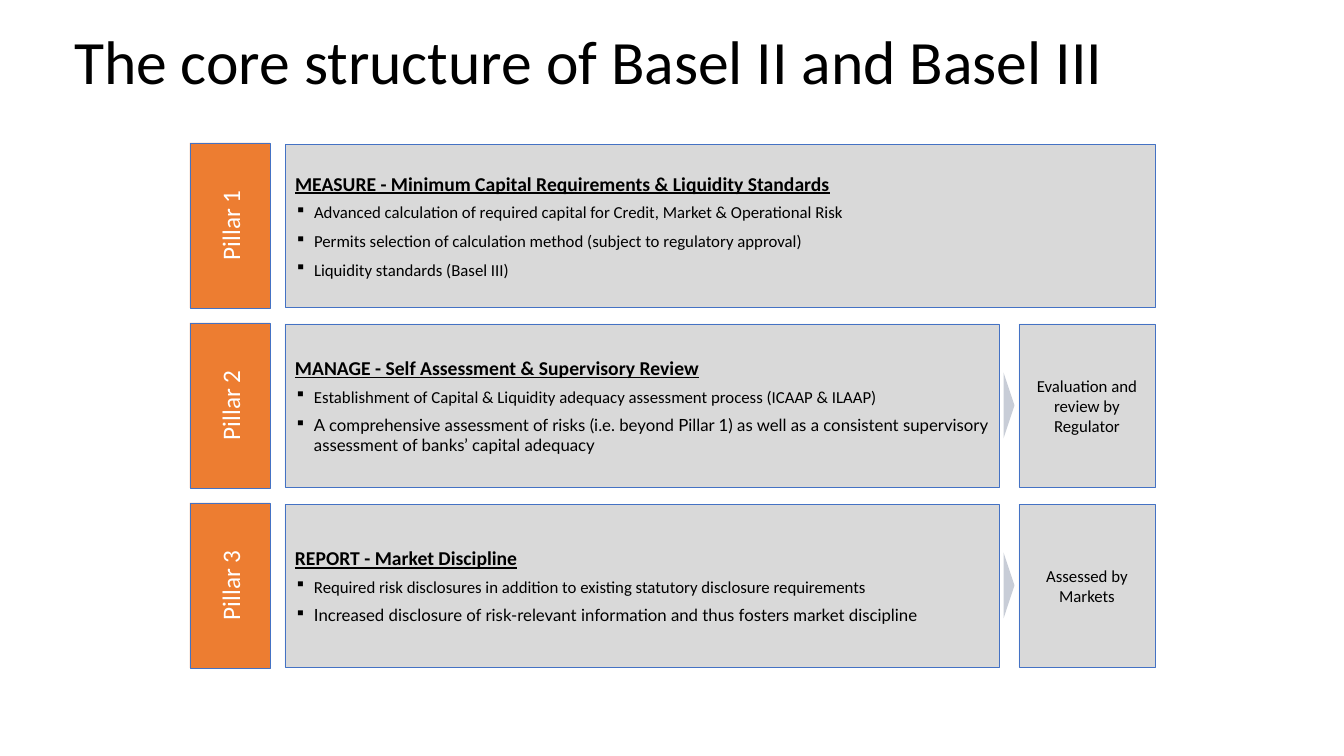
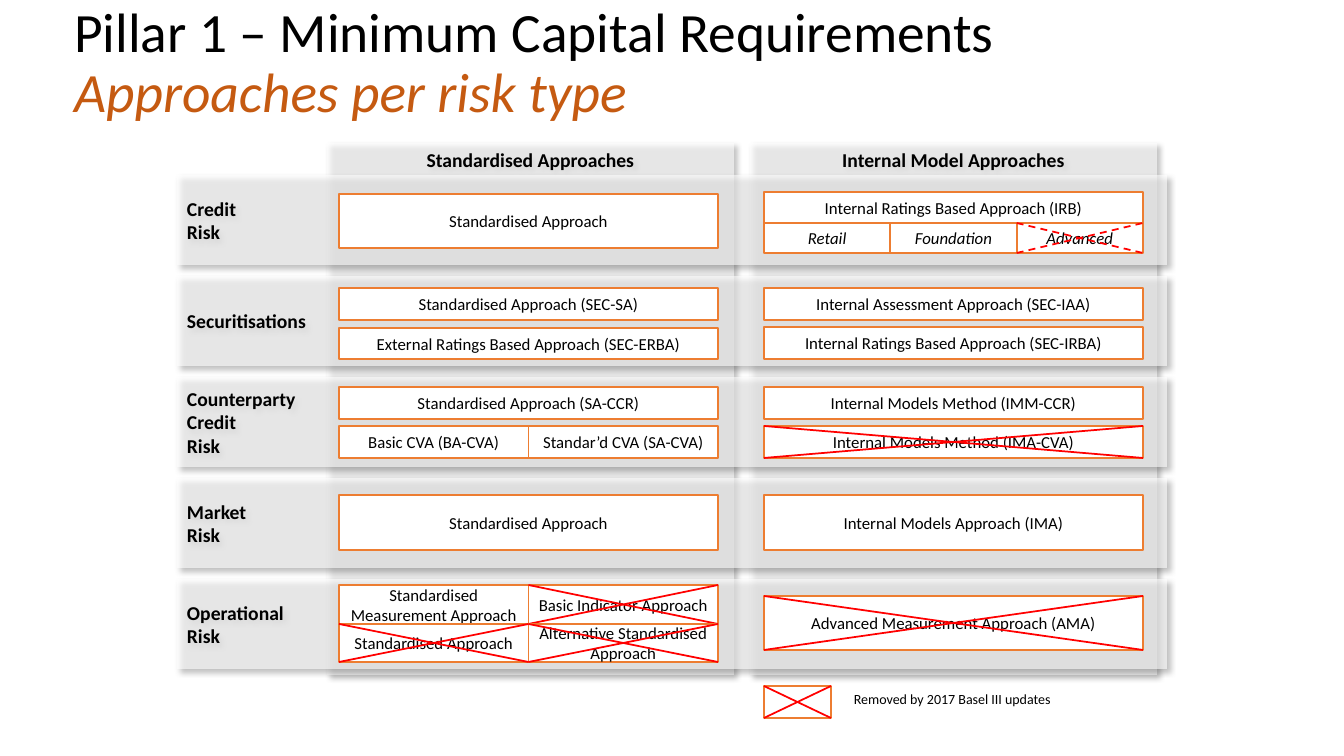
from collections import namedtuple

import pptx
import pptx.dml.color
import pptx.enum.dml
import pptx.enum.shapes
import pptx.enum.text
import pptx.oxml
import pptx.oxml.ns
import pptx.util

RGB = pptx.dml.color.RGBColor
BLACK = RGB(0x00, 0x00, 0x00)
WHITE = RGB(0xFF, 0xFF, 0xFF)
ORANGE = RGB(0xED, 0x7D, 0x31)
DARK_ORANGE = RGB(0xC5, 0x5A, 0x11)
BLUE = RGB(0x44, 0x72, 0xC4)
GREY = RGB(0xD9, 0xD9, 0xD9)
ARROW_GREY = RGB(0xC8, 0xCD, 0xD7)
RED = RGB(0xFF, 0x00, 0x00)

BODY_FONT = "Calibri"
ALT_FONT = "Lato"
SLIDE_WIDTH, SLIDE_HEIGHT = 1344, 756
EMU_PER_PX = 6858000 / SLIDE_HEIGHT

SHAPE = pptx.enum.shapes.MSO_SHAPE
ALIGN = pptx.enum.text.PP_ALIGN
ANCHOR = pptx.enum.text.MSO_ANCHOR
DASH = pptx.enum.dml.MSO_LINE
NSDECLS = pptx.oxml.ns.nsdecls("a")

Box = namedtuple("Box", "left top width height")
# removed is None, or the dash style of the red cross
Approach = namedtuple("Approach", "label removed italic", defaults=(None, False))
# rows hold (offset from band top, height, approaches side by side)
RiskBand = namedtuple("RiskBand", "label standardised internal")
Pillar = namedtuple("Pillar", "name heading points review")

TITLE_BOX = Box(64, 17, 1053, 95)

PILLARS = [
    Pillar("Pillar 1", "MEASURE - Minimum Capital Requirements & Liquidity Standards", [
        ("Advanced calculation of required capital for Credit, Market & Operational Risk", BODY_FONT),
        ("Permits selection of calculation method (subject to regulatory approval)", BODY_FONT),
        ("Liquidity standards (Basel III)", BODY_FONT),
    ], None),
    Pillar("Pillar 2", "MANAGE - Self Assessment & Supervisory Review", [
        ("Establishment of Capital & Liquidity adequacy assessment process (ICAAP & ILAAP)", BODY_FONT),
        ("A comprehensive assessment of risks (i.e. beyond Pillar 1) as well as a consistent "
         "supervisory assessment of banks’ capital adequacy", ALT_FONT),
    ], "Evaluation and review by Regulator"),
    Pillar("Pillar 3", "REPORT - Market Discipline", [
        ("Required risk disclosures in addition to existing statutory disclosure requirements", BODY_FONT),
        ("Increased disclosure of risk-relevant information and thus fosters market discipline", ALT_FONT),
    ], "Assessed by Markets"),
]

RISK_BANDS = [
    RiskBand("Credit\nRisk",
             [(19, 54, [Approach("Standardised Approach")])],
             [(17, 31, [Approach("Internal Ratings Based Approach (IRB)")]),
              (48, 30, [Approach("Retail", italic=True),
                        Approach("Foundation", italic=True),
                        Approach("Advanced", DASH.DASH, True)])]),
    RiskBand("Securitisations",
             [(12, 32, [Approach("Standardised Approach (SEC-SA)")]),
              (52, 31, [Approach("External Ratings Based Approach (SEC-ERBA)")])],
             [(12, 32, [Approach("Internal Assessment Approach (SEC-IAA)")]),
              (51, 32, [Approach("Internal Ratings Based Approach (SEC-IRBA)")])]),
    RiskBand("Counterparty\nCredit\nRisk",
             [(10, 32, [Approach("Standardised Approach (SA-CCR)")]),
              (49, 32, [Approach("Basic CVA (BA-CVA)"),
                        Approach("Standar’d CVA (SA-CVA)")])],
             [(10, 32, [Approach("Internal Models Method (IMM-CCR)")]),
              (49, 32, [Approach("Internal Models Method (IMA-CVA)", DASH.SOLID)])]),
    RiskBand("Market\nRisk",
             [(17, 55, [Approach("Standardised Approach")])],
             [(17, 55, [Approach("Internal Models Approach (IMA)")])]),
    RiskBand("Operational\nRisk",
             [(6, 39, [Approach("Standardised Measurement Approach"),
                       Approach("Basic Indicator Approach", DASH.SOLID)]),
              (45, 38, [Approach("Standardised Approach", DASH.SOLID),
                        Approach("Alternative Standardised Approach", DASH.SOLID)])],
             [(17, 54, [Approach("Advanced Measurement Approach (AMA)", DASH.SOLID)])]),
]


def px(length):
    return pptx.util.Emu(round(length * EMU_PER_PX))


def format_runs(paragraph, size, color=BLACK, font=BODY_FONT, bold=False, italic=False, underline=False):
    for run in paragraph.runs:
        run.font.name = font
        run.font.size = pptx.util.Pt(size)
        run.font.bold = bold
        run.font.italic = italic
        run.font.underline = underline
        run.font.color.rgb = color


def fill_text(shape, text, size, align=ALIGN.CENTER, anchor=ANCHOR.MIDDLE, inset=10, **style):
    frame = shape.text_frame
    frame.text = text
    frame.word_wrap = True
    frame.vertical_anchor = anchor
    frame.margin_left = frame.margin_right = px(inset)
    frame.margin_top = frame.margin_bottom = px(5)
    for paragraph in frame.paragraphs:
        paragraph.alignment = align
        format_runs(paragraph, size, **style)


def add_box(slide, box, fill, line=None, line_width=0.5, preset=SHAPE.RECTANGLE):
    shape = slide.shapes.add_shape(preset, *map(px, box))
    shape.shadow.inherit = False
    shape.fill.solid()
    shape.fill.fore_color.rgb = fill
    if line is None:
        shape.line.fill.background()
    else:
        shape.line.color.rgb = line
        shape.line.width = pptx.util.Pt(line_width)
    return shape


def add_title_slide(deck, title, subtitle=None, size=44):
    slide = deck.slides.add_slide(deck.slide_layouts[5])
    heading = slide.shapes.title
    heading.left, heading.top, heading.width, heading.height = map(px, TITLE_BOX)
    fill_text(heading, f"{title}\v{subtitle}" if subtitle else title, size, align=ALIGN.LEFT)
    heading.text_frame.auto_size = pptx.enum.text.MSO_AUTO_SIZE.NONE
    paragraph = heading.text_frame.paragraphs[0]
    paragraph.line_spacing = 0.9
    if subtitle:
        paragraph.runs[-1].font.italic = True
        paragraph.runs[-1].font.color.rgb = DARK_ORANGE
    return slide


# Slide 1: pillars
def add_bullet(paragraph):
    properties = paragraph._p.get_or_add_pPr()
    properties.set("marL", str(px(19)))
    properties.set("indent", str(px(-19)))
    for element in ('buSzPct {} val="90000"', 'buChar {} char="▪"'):
        properties.append(pptx.oxml.parse_xml(f"<a:{element.format(NSDECLS)}/>"))


def add_pillar(slide, box, pillar):
    # Pillar name, reading upwards
    name = add_box(slide, box._replace(width=80), ORANGE, BLUE)
    fill_text(name, pillar.name, 18, color=WHITE)
    name.text_frame._txBody.bodyPr.set("vert", "vert270")

    # Heading and points
    panel_box = Box(box.left + 95, box.top + 1, box.width - 95, box.height - 2)
    review_box = panel_box._replace(left=box.left + box.width - 136, width=136)
    if pillar.review:
        panel_box = panel_box._replace(width=panel_box.width - 156)
    panel = add_box(slide, panel_box, GREY, BLUE)
    fill_text(panel, pillar.heading, 14, align=ALIGN.JUSTIFY, bold=True, underline=True)
    panel.text_frame.paragraphs[0].space_after = pptx.util.Pt(5)
    for text, font in pillar.points:
        point = panel.text_frame.add_paragraph()
        point.text = text
        point.alignment = ALIGN.LEFT
        point.space_after = pptx.util.Pt(6)
        add_bullet(point)
        format_runs(point, 12, font=font)

    # Reviewer and the arrowhead leading to it
    if pillar.review:
        review = add_box(slide, review_box, GREY, BLUE)
        fill_text(review, pillar.review, 12)
        length, depth = 66, 11
        center_x = review_box.left - 10
        center_y = box.top + box.height / 2
        arrow_box = Box(center_x - length / 2, center_y - depth / 2, length, depth)
        arrow = add_box(slide, arrow_box, ARROW_GREY, preset=SHAPE.ISOSCELES_TRIANGLE)
        arrow.rotation = 90


def build_pillars_slide(deck):
    slide = add_title_slide(deck, "The core structure of Basel II and Basel III")
    for index, pillar in enumerate(PILLARS):
        add_pillar(slide, Box(190, 143 + 180 * index, 965, 165), pillar)


# Slide 2: approaches per risk type
def add_glass_band(slide, box, label, align, anchor):
    band = add_box(slide, box, WHITE)
    color = band._element.spPr.find(".//" + pptx.oxml.ns.qn("a:srgbClr"))
    color.append(pptx.oxml.parse_xml(f'<a:alpha {NSDECLS} val="60000"/>'))
    effects = band._element.spPr.find(pptx.oxml.ns.qn("a:effectLst"))
    effects.append(pptx.oxml.parse_xml(
        f'<a:outerShdw {NSDECLS} blurRad="50800" dist="38100" dir="2700000" algn="tl" rotWithShape="0">'
        '<a:srgbClr val="000000"><a:alpha val="40000"/></a:srgbClr></a:outerShdw>'))
    fill_text(band, label, 14, align=align, anchor=anchor, bold=True)


def add_cross(slide, box, dash):
    right, bottom = box.left + box.width, box.top + box.height
    for start_y, end_y in ((box.top, bottom), (bottom, box.top)):
        stroke = slide.shapes.add_connector(
            pptx.enum.shapes.MSO_CONNECTOR.STRAIGHT, px(box.left), px(start_y), px(right), px(end_y))
        stroke.line.color.rgb = RED
        stroke.line.width = pptx.util.Pt(1.25)
        stroke.line.dash_style = dash
        stroke._element.spPr.append(pptx.oxml.parse_xml(f"<a:effectLst {NSDECLS}/>"))


def add_approach_row(slide, box, approaches):
    width = box.width / len(approaches)
    cells = [box._replace(left=box.left + width * index, width=width) for index in range(len(approaches))]
    for cell, approach in zip(cells, approaches):
        shape = add_box(slide, cell, WHITE, ORANGE, 1.25)
        fill_text(shape, approach.label, 12, inset=4, italic=approach.italic)
    for cell, approach in zip(cells, approaches):
        if approach.removed is not None:
            add_cross(slide, cell, approach.removed)


def add_legend(slide, box):
    sample = box._replace(width=67)
    add_box(slide, sample, WHITE, ORANGE, 1.25)
    add_cross(slide, sample, DASH.SOLID)
    caption = slide.shapes.add_textbox(*map(px, box._replace(left=box.left + 80, width=box.width - 80)))
    fill_text(caption, "Removed by 2017 Basel III updates", 10, align=ALIGN.LEFT, anchor=ANCHOR.TOP)


def build_approaches_slide(deck):
    slide = add_title_slide(deck, "Pillar 1 – Minimum Capital Requirements",
                            "Approaches per risk type", size=39.6)
    # Columns behind the risk bands
    for left, label in ((327, "Standardised Approaches"), (750, "Internal Model Approaches")):
        add_glass_band(slide, Box(left, 143, 407, 532), label, ALIGN.CENTER, ANCHOR.TOP)
    # Risk bands with their approaches
    band_boxes = [Box(177, 175 + 101 * index, 990, 90) for index in range(len(RISK_BANDS))]
    for box, band in zip(band_boxes, RISK_BANDS):
        add_glass_band(slide, box, band.label, ALIGN.LEFT, ANCHOR.MIDDLE)
    for box, band in zip(band_boxes, RISK_BANDS):
        for offset_x, rows in ((162, band.standardised), (587, band.internal)):
            for offset_y, height, approaches in rows:
                row_box = Box(box.left + offset_x, box.top + offset_y, 379, height)
                add_approach_row(slide, row_box, approaches)
    add_legend(slide, Box(764, 686, 379, 32))


def main():
    deck = pptx.Presentation()
    deck.slide_width, deck.slide_height = px(SLIDE_WIDTH), px(SLIDE_HEIGHT)
    build_pillars_slide(deck)
    build_approaches_slide(deck)
    deck.save("out.pptx")


if __name__ == "__main__":
    main()
